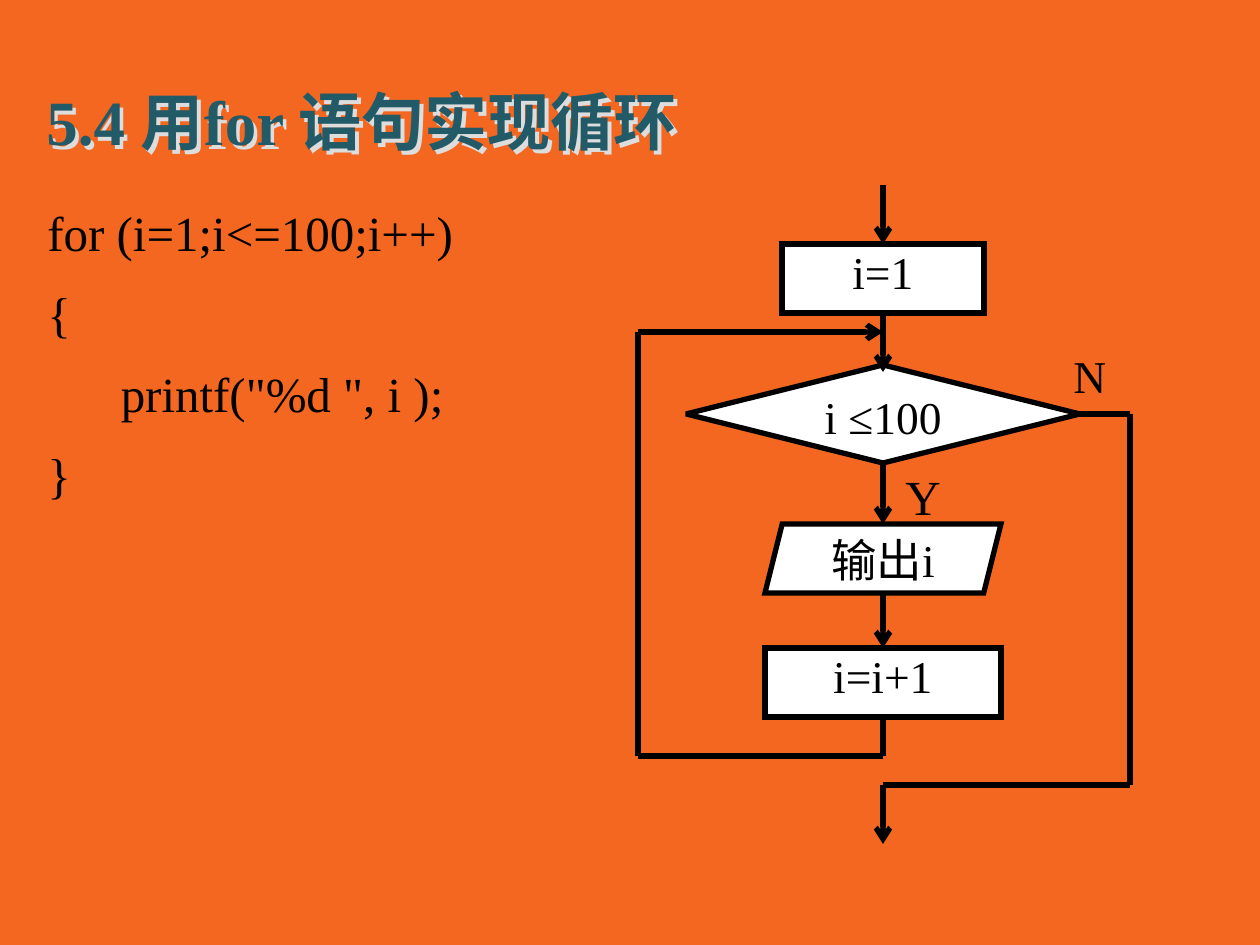
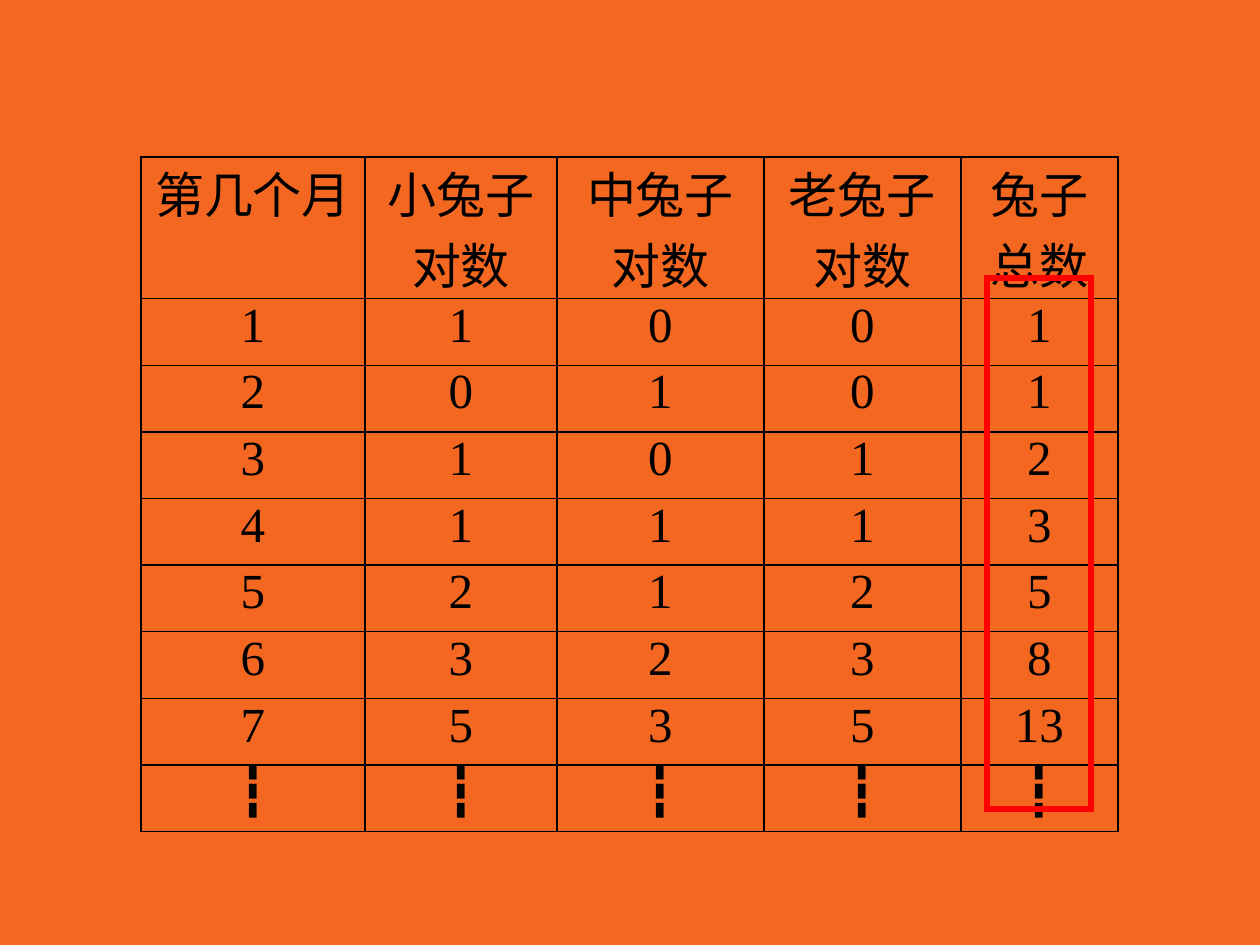
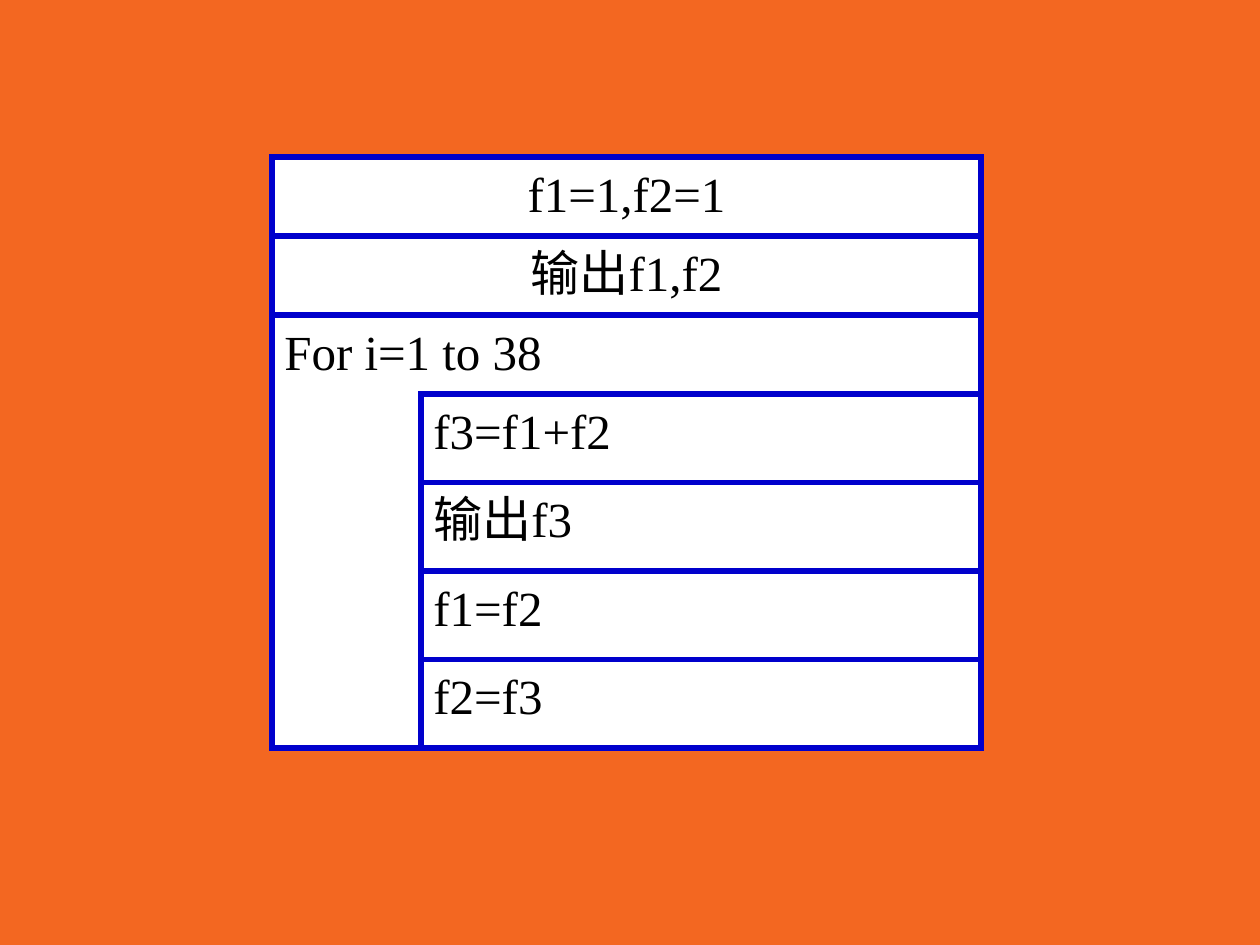
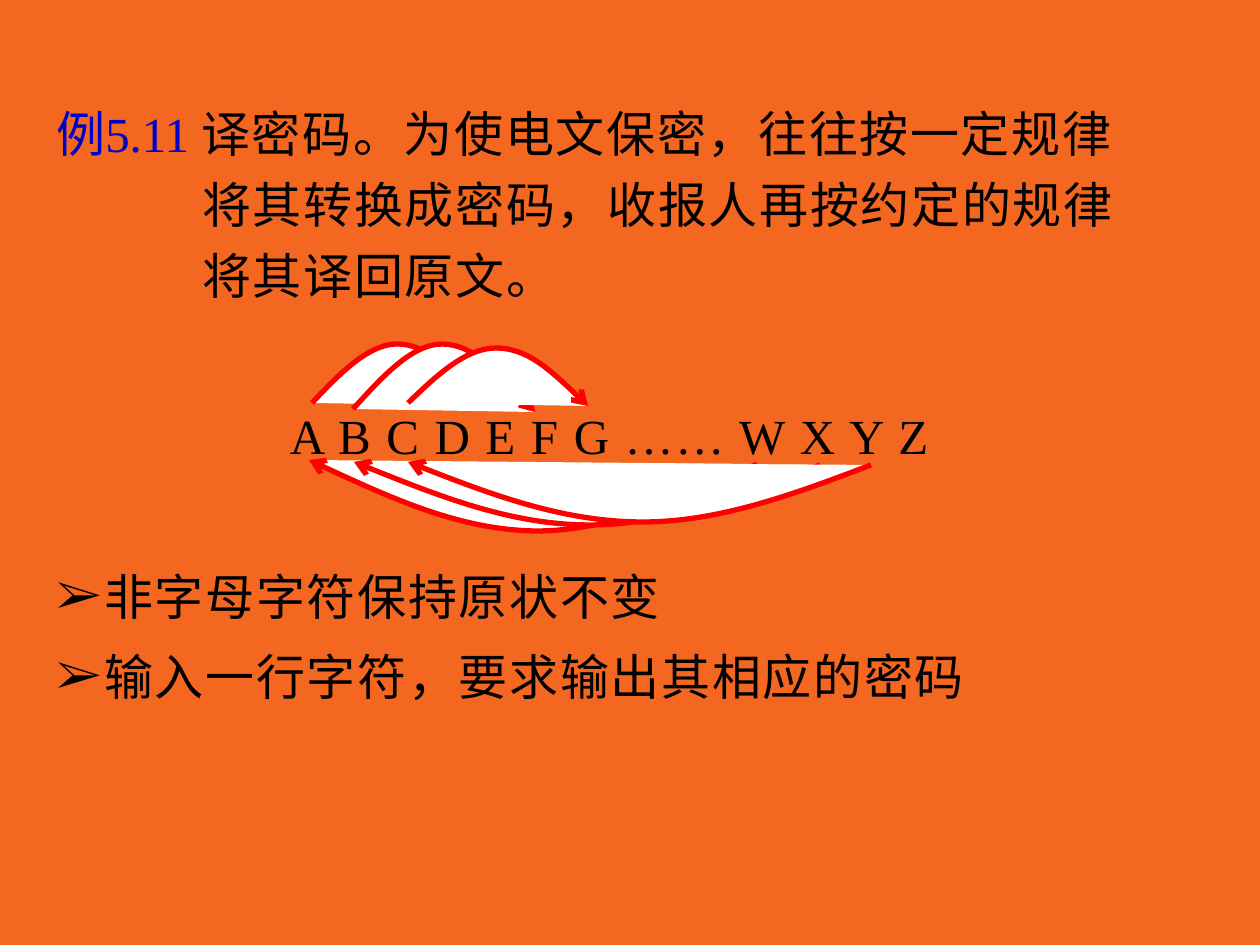
from dataclasses import dataclass
from itertools import accumulate
from pptx import Presentation
from pptx import util as u
from pptx.dml.color import RGBColor
from pptx.enum import shapes, text
from pptx.oxml import parse_xml
from pptx.oxml.ns import nsdecls, qn


@dataclass(frozen=True)
class Theme:
    background: str = "F36721"
    ink: str = "000000"
    paper: str = "FFFFFF"
    title: str = "235A67"
    title_shadow: str = "DDDDDD"
    blue: str = "0000CC"
    red: str = "FF0000"
    font: str = "Times New Roman"
    title_size: int = 36
    body_size: int = 28
    node_size: int = 26
    line: int = 3
    grid: int = 1
    leading: float = 1.2
    gap: float = 5.6
    wide_gap: float = 51.5


THEME = Theme()
PX = 914400 / 126
KIND = shapes.MSO_SHAPE
ALIGN = text.PP_ALIGN

TITLE = ("5.4 用for 语句实现循环", (34, 76, 1102, 89))
CODE = ["for (i=1;i<=100;i++)", "{", '      printf("%d ", i );', "}"]
CODE_BOX = (35, 185, 576, 393)
AXIS = 883
NODES = {
    "start": (KIND.FLOWCHART_PROCESS, "i=1", 244, 202, 69),
    "test": (KIND.FLOWCHART_DECISION, "i ≤100", 365, 394, 98),
    "output": (KIND.PARALLELOGRAM, "输出i", 524, 236, 69),
    "update": (KIND.FLOWCHART_PROCESS, "i=i+1", 648, 236, 69),
}
BRANCHES = [("Y", 893, 460, THEME.body_size), ("N", 1061, 342, THEME.node_size)]
LOOP_X, EXIT_X = 638, 1130
FLOWS = [
    ([(AXIS, 185), (AXIS, 244)], True, None, ("start", 0)),
    ([(AXIS, 313), (AXIS, 372)], True, ("start", 2), None),
    ([(AXIS, 465), (AXIS, 524)], True, None, None),
    ([(AXIS, 593), (AXIS, 648)], True, None, ("update", 0)),
    ([(AXIS, 717), (AXIS, 756)], False, ("update", 2), None),
    ([(AXIS, 756), (LOOP_X, 756), (LOOP_X, 332), (AXIS, 332)], True, None, None),
    ([(1074, 414), (EXIT_X, 414), (EXIT_X, 785), (AXIS, 785), (AXIS, 844)], True, None, None),
]

RABBITS = [
    ["第几个月", "小兔子对数", "中兔子对数", "老兔子对数", "兔子总数"],
    [1, 1, 0, 0, 1],
    [2, 0, 1, 0, 1],
    [3, 1, 0, 1, 2],
    [4, 1, 1, 1, 3],
    [5, 2, 1, 2, 5],
    [6, 3, 2, 3, 8],
    [7, 5, 3, 5, 13],
    ["┇"] * 5,
]
COLUMN_WIDTHS = [224, 192, 207, 197, 157]
TABLE_LEFT, TABLE_TOP, TABLE_HEIGHT, ROWS_HEIGHT = 141, 157, 651, 600
TOTAL_FRAME = (987, 278, 104, 531)

SETUP_STEPS = ["f1=1,f2=1", "输出f1,f2"]
LOOP_HEAD = "For i=1 to 38"
LOOP_STEPS = ["f3=f1+f2", "输出f3", "f1=f2", "f2=f3"]
CHART_LEFT, CHART_TOP, CHART_RIGHT, CHART_BOTTOM = 272, 157, 981, 748
STEP_HEIGHT, LOOP_INDENT = 79, 149

CIPHER_BOX = (44, 86, 1131, 758)
EXAMPLE = "例5.11 "
CIPHER = "译密码。为使电文保密，往往按一定规律将其转换成密码，收报人再按约定的规律将其译回原文。"
ALPHABET = "A B C D E F G …… W X Y Z"
RULES = ["非字母字符保持原状不变", "输入一行字符，要求输出其相应的密码"]
ARCS = [
    [(312, 403), (340, 373), (369, 344), (397, 344), (426, 344), (456, 375), (485, 406)],
    [(353, 409), (382, 377), (412, 344), (442, 344), (472, 344), (504, 378), (535, 412)],
    [(408, 403), (437, 375), (466, 348), (496, 348), (527, 348), (558, 377), (588, 406)],
    [(757, 464), (684, 498), (611, 531), (536, 531), (461, 530), (384, 495), (309, 460)],
    [(820, 465), (745, 495), (668, 525), (590, 525), (513, 525), (433, 494), (354, 462)],
    [(871, 465), (795, 494), (719, 522), (643, 522), (566, 522), (486, 493), (408, 462)],
]


def emu(*lengths):
    return [round(length * PX) for length in lengths]


def rgb(color):
    return RGBColor.from_string(color)


def element(tag, attributes="", content=""):
    return parse_xml(f'<a:{tag} {nsdecls("a")} {attributes}>{content}</a:{tag}>')


def assign(target, **values):
    for name, value in values.items():
        setattr(target, name, value)


def add_run(paragraph, words, size=THEME.body_size, color=THEME.ink, bold=None, spacing=None):
    run = paragraph.add_run()
    run.text = words
    run.font.color.rgb = rgb(color)
    assign(run.font, size=u.Pt(size), name=THEME.font, bold=bold)
    if spacing:
        run.font._element.set("spc", str(spacing * 100))


def add_text_box(slide, box, **values):
    shape = slide.shapes.add_textbox(*emu(*box))
    assign(shape.text_frame, word_wrap=True, **values)
    return shape


def next_paragraph(frame, index, gap=THEME.gap, hang=48, bullet=None, align=None):
    paragraph = frame.add_paragraph() if index else frame.paragraphs[0]
    properties = paragraph._p.get_or_add_pPr()
    indent = emu(hang)[0]
    properties.set("marL", str(indent))
    properties.set("indent", str(-indent))
    if bullet:
        properties.append(element("buFont", f'typeface="{THEME.font}"'))
        properties.append(element("buChar", f'char="{bullet}"'))
    assign(paragraph, line_spacing=THEME.leading, alignment=align)
    if index:
        paragraph.space_before = u.Pt(gap)
    return paragraph


def style_line(shape, color, arrow=False):
    shape.line.color.rgb = rgb(color)
    shape.line.width = u.Pt(THEME.line)
    outline = shape.line._get_or_add_ln()
    outline.append(element("miter", 'lim="800000"'))
    if arrow:
        outline.append(element("tailEnd", 'type="arrow"'))


def style_shape(shape, color, fill=THEME.paper, arrow=False):
    shape.shadow.inherit = False
    if fill:
        shape.fill.solid()
        shape.fill.fore_color.rgb = rgb(fill)
    else:
        shape.fill.background()
    style_line(shape, color, arrow)


def add_box(slide, kind, box, color, words="", size=THEME.body_size,
            align=ALIGN.LEFT, fill=THEME.paper, inset=True):
    shape = slide.shapes.add_shape(kind, *emu(*box))
    style_shape(shape, color, fill)
    if words:
        frame = shape.text_frame
        assign(frame, word_wrap=False, vertical_anchor=text.MSO_ANCHOR.TOP)
        if not inset:
            assign(frame, margin_left=0, margin_top=0, margin_right=0, margin_bottom=0)
        frame.paragraphs[0].alignment = align
        add_run(frame.paragraphs[0], words, size)
    return shape


def add_line(slide, start, end, arrow):
    connector = slide.shapes.add_connector(
        shapes.MSO_CONNECTOR.STRAIGHT, *emu(*start, *end))
    style_line(connector, THEME.ink, arrow)
    connector._element.spPr.append(element("effectLst"))
    return connector


def add_title(slide):
    words, box = TITLE
    shape = add_text_box(slide, box, vertical_anchor=text.MSO_ANCHOR.MIDDLE)
    add_run(shape.text_frame.paragraphs[0], words, THEME.title_size, THEME.title, True)
    shape._element.spPr.append(element(
        "effectLst", content='<a:outerShdw dist="35921" dir="2700000" algn="ctr" rotWithShape="0">'
        f'<a:srgbClr val="{THEME.title_shadow}"/></a:outerShdw>'))


def build_for_loop(slide):
    frame = add_text_box(slide, CODE_BOX).text_frame
    for index, words in enumerate(CODE):
        add_run(next_paragraph(frame, index), words)
    nodes = {
        name: add_box(slide, kind, (AXIS - width // 2, top, width, height), THEME.ink,
                      words, THEME.node_size, ALIGN.CENTER, inset=False)
        for name, (kind, words, top, width, height) in NODES.items()
    }
    for words, left, top, size in BRANCHES:
        label = add_text_box(slide, (left, top, 69, 70)).text_frame
        add_run(label.paragraphs[0], words, size)
    for points, arrow, source, target in FLOWS:
        lines = [add_line(slide, start, end, arrow and end == points[-1])
                 for start, end in zip(points, points[1:])]
        if source:
            lines[0].begin_connect(nodes[source[0]], source[1])
        if target:
            lines[-1].end_connect(nodes[target[0]], target[1])
    add_title(slide)


def style_cell(cell, words):
    side = emu(9)[0]
    assign(cell, margin_left=side, margin_right=side, margin_top=0, margin_bottom=0)
    cell.fill.background()
    paragraph = cell.text_frame.paragraphs[0]
    paragraph.alignment = ALIGN.CENTER
    add_run(paragraph, str(words))
    properties = cell._tc.get_or_add_tcPr()
    for index, edge in enumerate(("lnL", "lnR", "lnT", "lnB")):
        properties.insert(index, element(
            edge, f'w="{u.Pt(THEME.grid)}"',
            f'<a:solidFill><a:srgbClr val="{THEME.ink}"/></a:solidFill>'))


def build_rabbit_table(slide):
    frame = slide.shapes.add_table(
        len(RABBITS), len(COLUMN_WIDTHS),
        *emu(TABLE_LEFT, TABLE_TOP, sum(COLUMN_WIDTHS), ROWS_HEIGHT))
    table = frame.table
    assign(table, first_row=False, horz_banding=False)
    for column, width in zip(table.columns, emu(*COLUMN_WIDTHS)):
        column.width = width
    for row, values in zip(table.rows, RABBITS):
        for cell, value in zip(row.cells, values):
            style_cell(cell, value)
    frame.height = emu(TABLE_HEIGHT)[0]
    add_box(slide, KIND.RECTANGLE, TOTAL_FRAME, THEME.red, fill=None)


def build_loop_chart(slide):
    width = CHART_RIGHT - CHART_LEFT
    tops = list(accumulate([STEP_HEIGHT] * 3, initial=CHART_TOP))
    add_box(slide, KIND.FLOWCHART_PROCESS,
            (CHART_LEFT, CHART_TOP, width, CHART_BOTTOM - CHART_TOP), THEME.blue)
    for words, top in zip(SETUP_STEPS, tops):
        add_box(slide, KIND.RECTANGLE, (CHART_LEFT, top, width, STEP_HEIGHT),
                THEME.blue, words, align=ALIGN.CENTER)
    add_box(slide, KIND.RECTANGLE, (CHART_LEFT, tops[2], width, CHART_BOTTOM - tops[2]),
            THEME.blue, LOOP_HEAD)
    left, inner_width = CHART_LEFT + LOOP_INDENT, width - LOOP_INDENT
    inner_height = CHART_BOTTOM - tops[3]
    add_box(slide, KIND.FLOWCHART_PROCESS, (left, tops[3], inner_width, inner_height), THEME.blue)
    height = inner_height / len(LOOP_STEPS)
    for index, words in enumerate(LOOP_STEPS):
        add_box(slide, KIND.FLOWCHART_PROCESS,
                (left, tops[3] + index * height, inner_width, height), THEME.blue, words)


def add_arc(slide, points):
    start, *others = [emu(*point) for point in points]
    builder = slide.shapes.build_freeform(*start)
    builder.add_line_segments(others, close=False)
    shape = builder.convert_to_shape()
    segments = list(shape._element.iter(qn("a:lnTo")))
    for first in range(0, len(segments), 3):
        curve = element("cubicBezTo")
        segments[first].addprevious(curve)
        for segment in segments[first:first + 3]:
            curve.append(segment[0])
            segment.getparent().remove(segment)
    style_shape(shape, THEME.red, arrow=True)


def build_cipher(slide):
    frame = add_text_box(slide, CIPHER_BOX).text_frame
    example = next_paragraph(frame, 0, hang=146)
    add_run(example, EXAMPLE, color=THEME.blue)
    add_run(example, CIPHER, spacing=1)
    letters = next_paragraph(frame, 1, THEME.wide_gap, align=ALIGN.CENTER)
    add_run(letters, ALPHABET, spacing=1)
    for index, words in enumerate(RULES):
        gap = THEME.gap if index else THEME.wide_gap
        add_run(next_paragraph(frame, index + 2, gap, bullet="➢"), words, spacing=1)
    for points in ARCS:
        add_arc(slide, points)


def main():
    presentation = Presentation()
    assign(presentation, slide_width=u.Inches(10), slide_height=u.Inches(7.5))
    for build in (build_for_loop, build_rabbit_table, build_loop_chart, build_cipher):
        slide = presentation.slides.add_slide(presentation.slide_layouts[6])
        slide.background.fill.solid()
        slide.background.fill.fore_color.rgb = rgb(THEME.background)
        build(slide)
    presentation.save("out.pptx")


if __name__ == "__main__":
    main()
